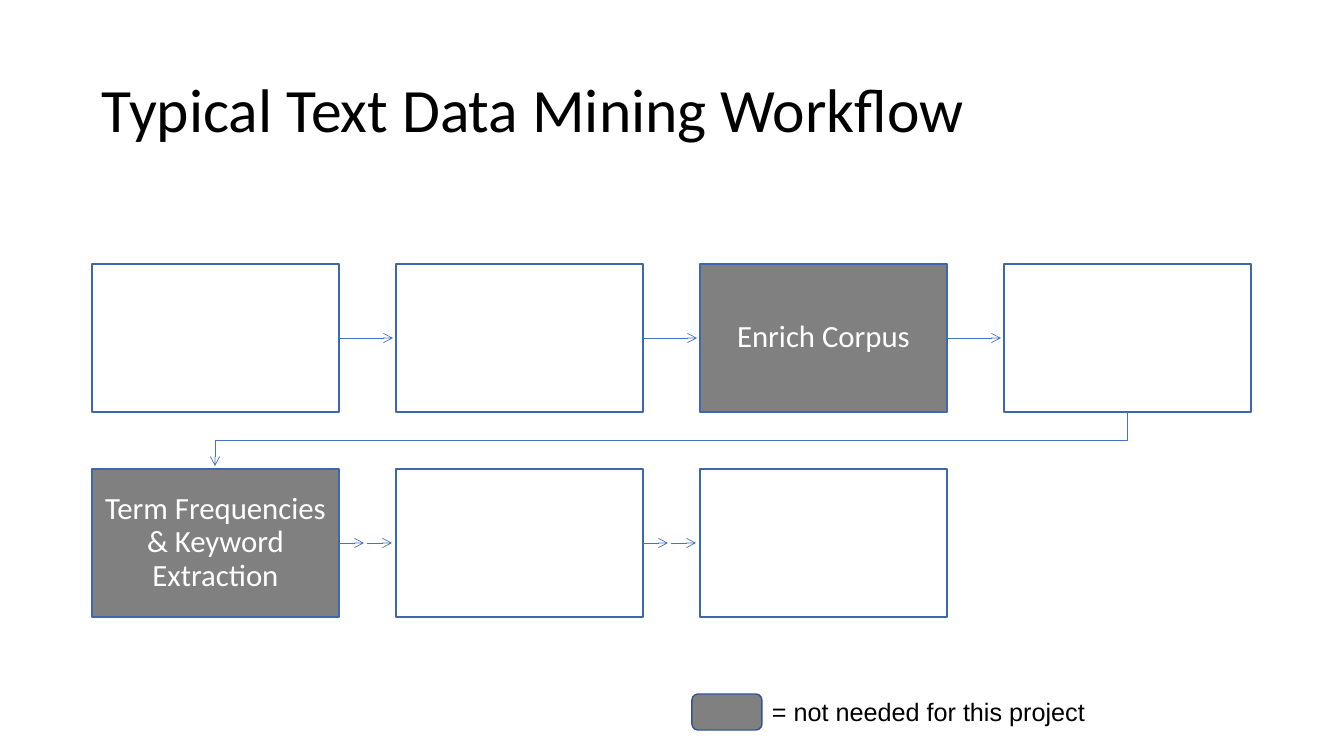
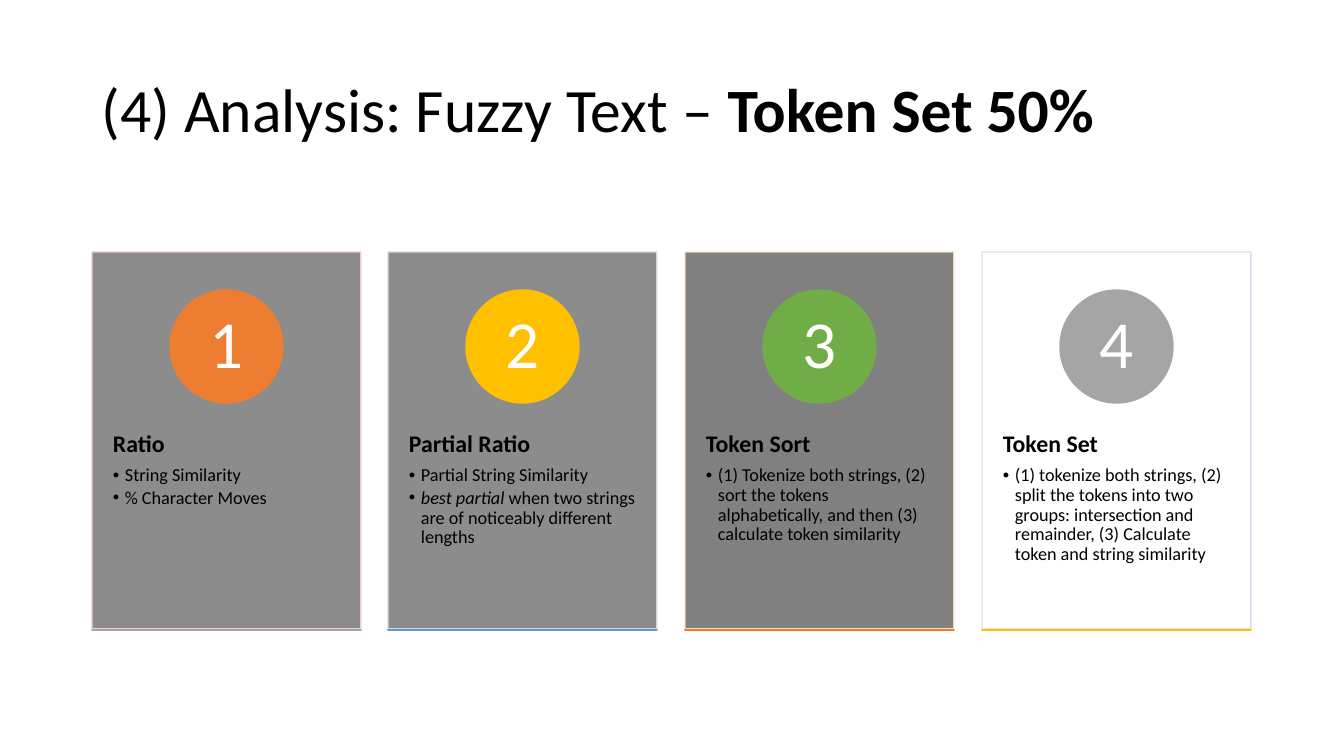
from dataclasses import dataclass

from lxml.etree import SubElement
from pptx import Presentation
from pptx.dml.color import RGBColor as RGB
from pptx.enum.shapes import MSO_CONNECTOR as LINE, MSO_SHAPE as SHAPE
from pptx.enum.text import MSO_ANCHOR as ANCHOR, PP_ALIGN as ALIGN
from pptx.oxml.ns import qn
from pptx.util import Pt

WIDTH, HEIGHT = 1344, 756
EMU = 12192000 / WIDTH
MARGIN, SPAN = 92, 1159


@dataclass(frozen=True)
class Theme:
    """Colours, fonts and type sizes."""
    black: str = "000000"
    white: str = "FFFFFF"
    muted: str = "808080"
    arrow: str = "4472C4"
    box_line: str = "3E67B2"
    key_line: str = "325491"
    orange: str = "ED7D31"
    gold: str = "FFC000"
    green: str = "70AD47"
    gray: str = "A5A5A5"
    blue: str = "5B9BD5"
    font: str = "Calibri"
    key_font: str = "Arial"
    title: int = 44
    number: int = 48
    step: int = 22
    key: int = 18
    heading: int = 17
    body: int = 13


def px(n):
    """Turn px into EMU."""
    return round(n * EMU)


def set_alpha(s, tag, percent):
    """Make the first solid colour under the tag partly transparent."""
    color = s.element.spPr.find(tag + "/" + qn("a:srgbClr"))
    SubElement(color, qn("a:alpha")).set("val", str(percent * 1000))


class Deck:
    """Style and current slide."""

    def __init__(self, theme):
        """Start an empty presentation."""
        self.t = theme
        self.prs = Presentation()
        self.prs.slide_width, self.prs.slide_height = px(WIDTH), px(HEIGHT)
        self.slide = None

    def new_slide(self, runs):
        """Add a blank slide with a title."""
        self.slide = self.prs.slides.add_slide(self.prs.slide_layouts[6])
        tf = self.textbox(MARGIN, 40, SPAN, 146)
        tf.vertical_anchor = ANCHOR.MIDDLE
        self.add_runs(tf.paragraphs[0], runs, self.t.title)

    def add_runs(self, p, runs, size, color=None, font=None, spacing=0.9):
        """Fill a paragraph with (text, style) runs; style holds b or i."""
        p.line_spacing = spacing
        for text, style in runs:
            r = p.add_run()
            r.text = text
            r.font.name = font or self.t.font
            r.font.size = Pt(size)
            r.font.bold, r.font.italic = "b" in style, "i" in style
            r.font.color.rgb = RGB.from_string(color or self.t.black)

    def textbox(self, x, y, w, h, wrap=True):
        """Add a text box and return its frame."""
        box = self.slide.shapes.add_textbox(px(x), px(y), px(w), px(h))
        box.text_frame.word_wrap = wrap
        return box.text_frame

    def shape(self, kind, x, y, w, h, fill, line, fill_alpha=100, line_alpha=100):
        """Add a filled and outlined preset shape."""
        s = self.slide.shapes.add_shape(kind, px(x), px(y), px(w), px(h))
        s.shadow.inherit = False
        s.fill.solid()
        s.fill.fore_color.rgb = RGB.from_string(fill)
        s.line.color.rgb = RGB.from_string(line)
        s.line.width = Pt(1)
        if fill_alpha < 100:
            set_alpha(s, qn("a:solidFill"), fill_alpha)
        if line_alpha < 100:
            set_alpha(s, qn("a:ln") + "/" + qn("a:solidFill"), line_alpha)
        return s

    def label(self, s, text, size, inset):
        """Centre white text in a shape."""
        tf = s.text_frame
        tf.word_wrap = True
        tf.vertical_anchor = ANCHOR.MIDDLE
        tf.margin_left = tf.margin_right = px(inset)
        tf.margin_top = tf.margin_bottom = px(inset)
        p = tf.paragraphs[0]
        p.alignment = ALIGN.CENTER
        self.add_runs(p, [(text, "")], size, self.t.white)

    def arrow_style(self, s):
        """Give a line its colour, width and arrowhead."""
        s.line.color.rgb = RGB.from_string(self.t.arrow)
        s.line.width = Pt(0.5)
        SubElement(s.element.spPr.find(qn("a:ln")), qn("a:tailEnd")).set("type", "arrow")

    def arrow(self, x1, x2, y, source=None):
        """Draw a horizontal arrow, joined to the source's right side if given."""
        s = self.slide.shapes.add_connector(LINE.STRAIGHT, px(x1), px(y), px(x2), px(y))
        if source is not None:
            s.begin_connect(source, 3)
        self.arrow_style(s)
        SubElement(s.element.spPr, qn("a:effectLst"))

    def bent_arrow(self, points):
        """Draw an arrow through several points."""
        first, *rest = [(px(x), px(y)) for x, y in points]
        outline = self.slide.shapes.build_freeform(*first)
        outline.add_line_segments(rest, close=False)
        s = outline.convert_to_shape()
        s.shadow.inherit = False
        s.fill.background()
        self.arrow_style(s)

    def bullet(self, p, runs):
        """Add the text of one bulleted line."""
        self.add_runs(p, runs, self.t.body)
        p.level = 1
        p.space_after = Pt(2)
        pr = p._p.get_or_add_pPr()
        pr.set("marL", str(px(12)))
        pr.set("indent", str(-px(12)))
        SubElement(pr, qn("a:buFont")).set("typeface", "Arial")
        SubElement(pr, qn("a:buChar")).set("char", "•")

    def card(self, x, number, heading, bullets, circle, base, edge, fill, alpha):
        """Draw a numbered card with a heading and bullets."""
        y, w, h, d = 252, 269, 377, 113
        self.shape(SHAPE.RECTANGLE, x, y, w, h, fill, edge, alpha, 90)
        tf = self.textbox(x, 396, w, 227)
        tf.margin_left = tf.margin_right = px(21)
        tf.margin_top = tf.margin_bottom = px(36)
        p = tf.paragraphs[0]
        self.add_runs(p, [(heading, "b")], self.t.heading)
        p.space_after = Pt(6)
        for runs in bullets:
            self.bullet(tf.add_paragraph(), runs)
        s = self.shape(SHAPE.OVAL, x + (w - d) // 2, y + 38, d, d, circle, circle)
        self.label(s, str(number), self.t.number, 0)
        self.shape(SHAPE.RECTANGLE, x, y + h + 1, w, 0, base, base)


def workflow_slide(deck):
    """Build the grid of workflow steps."""
    t = deck.t
    deck.new_slide([("Typical Text Data Mining Workflow", "")])
    top, w, h, pitch_x, pitch_y, gap = 264, 247, 148, 304, 205, 3
    rows = [
        (["", "", "Enrich Corpus", ""], 1),
        (["Term Frequencies & Keyword Extraction", "", ""], 2),
    ]
    for row, (steps, arrows) in enumerate(rows):
        y = top + row * pitch_y
        for col, text in enumerate(steps):
            x = MARGIN + col * pitch_x
            s = deck.shape(SHAPE.RECTANGLE, x, y, w, h, t.muted if text else t.white, t.box_line)
            if text:
                deck.label(s, text, t.step, 10)
            if col == len(steps) - 1:
                continue
            part = (pitch_x - w) // arrows
            for i in range(arrows):
                start = x + w + i * part
                deck.arrow(start, start + part - gap, y + h // 2, None if i else s)
    left, bottom, next_top = MARGIN + w // 2, top + h, top + pitch_y
    right, middle = left + 3 * pitch_x, (bottom + next_top) // 2
    deck.bent_arrow([(right, bottom), (right, middle), (left, middle), (left, next_top - gap)])
    deck.shape(SHAPE.ROUNDED_RECTANGLE, 692, 694, 70, 36, t.muted, t.key_line)
    tf = deck.textbox(762, 691, 337, 40, wrap=False)
    deck.add_runs(tf.paragraphs[0], [("= not needed for this project", "")], t.key,
                  font=t.key_font, spacing=1.0)


def analysis_slide(deck):
    """Build the four method cards."""
    t = deck.t
    deck.new_slide([("(4) Analysis: Fuzzy Text – ", ""), ("Token Set 50%", "b")])
    cards = [
        ("Ratio", [[("String Similarity", "")], [("% Character Moves", "")]],
         t.orange, t.gray, "F8D7CE", t.muted, 90),
        ("Partial Ratio",
         [[("Partial String Similarity", "")],
          [("best partial", "i"), (" when two strings are of noticeably different lengths", "")]],
         t.gold, t.blue, "E1E1E1", t.muted, 90),
        ("Token Sort",
         [[("(1) Tokenize both strings, (2) sort the tokens alphabetically, "
            "and then (3) calculate token similarity", "")]],
         t.green, t.orange, "FFE8CC", t.muted, 100),
        ("Token Set",
         [[("(1) tokenize both strings, (2) split the tokens into two groups: "
            "intersection and remainder, (3) Calculate token and string similarity", "")]],
         t.gray, t.gold, "D2DEEF", t.white, 90),
    ]
    for i, card in enumerate(cards):
        deck.card(MARGIN + 890 * i // 3, i + 1, *card)


def main():
    """Build and save the deck."""
    deck = Deck(Theme())
    workflow_slide(deck)
    analysis_slide(deck)
    deck.prs.save("out.pptx")


if __name__ == "__main__":
    main()
